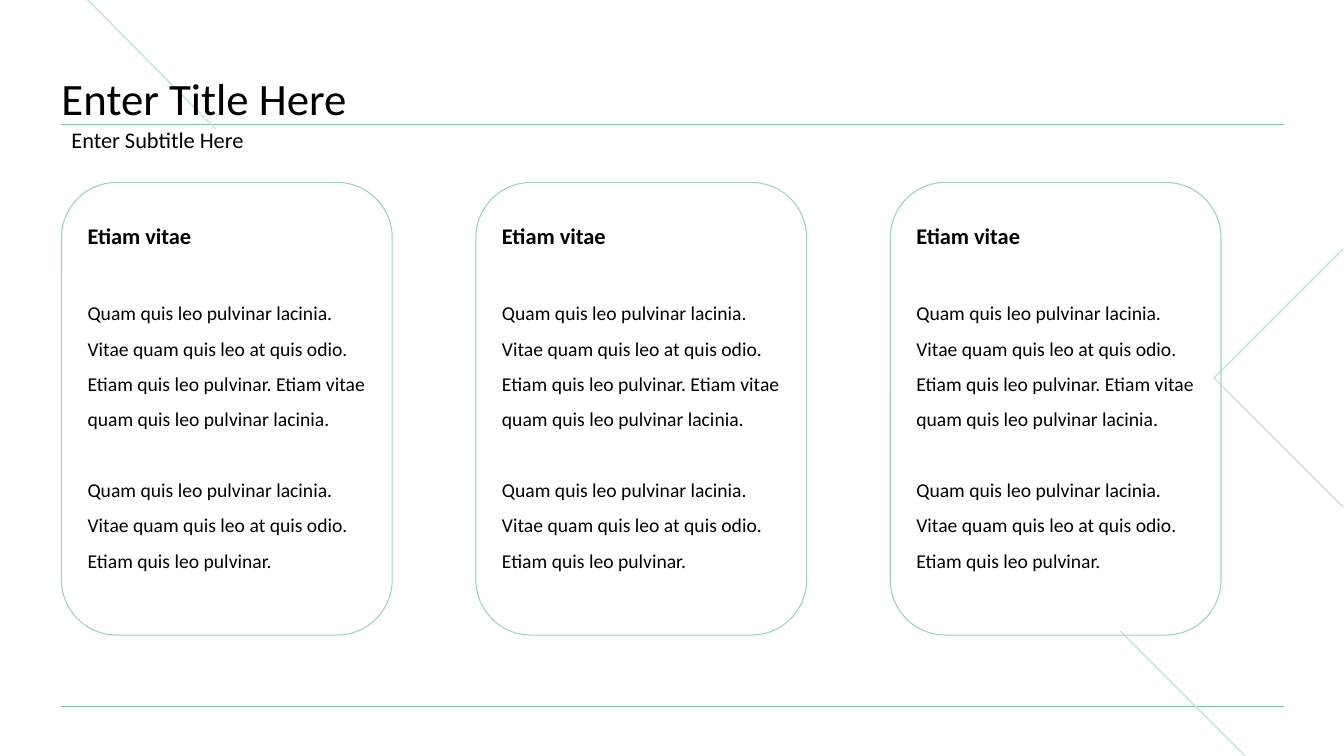
import pptx
import pptx.dml.color
import pptx.enum.shapes
import pptx.enum.text
import pptx.oxml.ns
import pptx.util
from lxml import etree

Inches = pptx.util.Inches
Pt = pptx.util.Pt
Anchor = pptx.enum.text.MSO_ANCHOR
Align = pptx.enum.text.PP_ALIGN

RULE, ACCENT, OUTLINE, INK = "80C7A7", "C6E6D7", "9AD3C2", "000000"
LEFT, WIDTH = 0.61, 12.12
RULE_HEIGHTS = (7.01, 1.23)
DIAGONALS = ((11.11, 6.26, 12.35, 7.5), (0.87, 0, 2.14, 1.28))
CHEVRON = ((13.32, 2.47), (12.04, 3.75), (13.32, 5.03))
CARD_COUNT, CARD_PITCH = 3, 4.11
CARD_TOP, CARD_WIDTH, CARD_HEIGHT = 1.81, 3.28, 4.49

HEADING = {"size": Pt(16), "bold": True}
BODY = {"size": Pt(14), "bold": False}
CARD_TEXT = (
    ("Etiam vitae", HEADING, 0),
    ("Quam quis leo pulvinar lacinia. Vitae quam quis leo at quis odio. "
     "Etiam quis leo pulvinar. Etiam vitae quam quis leo pulvinar lacinia.", BODY, 29),
    ("Quam quis leo pulvinar lacinia. Vitae quam quis leo at quis odio. "
     "Etiam quis leo pulvinar.", BODY, 25.5),
)


def colour(value):
    """Turn a hex string into a colour."""
    return pptx.dml.color.RGBColor.from_string(value)


def apply_format(target, values):
    """Set each attribute in a dict on the target."""
    for name, value in values.items():
        setattr(target, name, value)


def set_line(shape, value, weight):
    """Give a shape's line its colour and weight."""
    shape.line.color.rgb = colour(value)
    shape.line.width = Pt(weight)


def add_line(page, ends, value, weight):
    """Draw a straight line without a shadow."""
    line = page.shapes.add_connector(
        pptx.enum.shapes.MSO_CONNECTOR.STRAIGHT, *map(Inches, ends))
    set_line(line, value, weight)
    etree.SubElement(line._element.spPr, pptx.oxml.ns.qn("a:effectLst"))


def add_chevron(page):
    """Draw the open chevron at the right edge."""
    start, *corners = [tuple(map(Inches, point)) for point in CHEVRON]
    builder = page.shapes.build_freeform(*start)
    builder.add_line_segments(corners, close=False)
    chevron = builder.convert_to_shape()
    chevron.shadow.inherit = False
    chevron.fill.background()
    set_line(chevron, ACCENT, 1)


def write_para(para, text, font, layout):
    """Write one formatted paragraph."""
    apply_format(para, {"alignment": Align.LEFT, **layout})
    span = para.add_run()
    span.text = text
    apply_format(span.font, {"name": "Calibri", **font})
    span.font.color.rgb = colour(INK)


def add_label(page, top, height, text, size, frame):
    """Add a full-width line of text."""
    box = page.shapes.add_textbox(*map(Inches, (LEFT, top, WIDTH, height)))
    apply_format(box.text_frame, {"word_wrap": True, **frame})
    write_para(box.text_frame.paragraphs[0], text, {"size": Pt(size)}, {"line_spacing": 0.9})


def add_card(page, left):
    """Add a rounded card with a heading and two paragraphs."""
    card = page.shapes.add_shape(
        pptx.enum.shapes.MSO_SHAPE.ROUNDED_RECTANGLE,
        *map(Inches, (left, CARD_TOP, CARD_WIDTH, CARD_HEIGHT)))
    card.shadow.inherit = False
    card.fill.background()
    set_line(card, OUTLINE, 0.75)
    frame = card.text_frame
    margins = dict.fromkeys(
        ("margin_left", "margin_top", "margin_right", "margin_bottom"), Inches(0.1))
    apply_format(frame, {"word_wrap": True, "vertical_anchor": Anchor.TOP, **margins})
    for index, (text, font, gap) in enumerate(CARD_TEXT):
        para = frame.add_paragraph() if index else frame.paragraphs[0]
        layout = {"line_spacing": 1.5}
        if gap:
            layout["space_before"] = Pt(gap)
        write_para(para, text, font, layout)


def main():
    """Build the slide and save the deck."""
    deck = pptx.Presentation()
    apply_format(deck, {"slide_width": Inches(13.33), "slide_height": Inches(7.5)})
    page = deck.slides.add_slide(deck.slide_layouts[6])
    for height in RULE_HEIGHTS:
        add_line(page, (LEFT, height, LEFT + WIDTH, height), RULE, 0.5)
    for ends in DIAGONALS:
        add_line(page, ends, ACCENT, 1)
    add_chevron(page)
    add_label(page, 0.44, 0.8, "Enter Title Here", 32, {
        "vertical_anchor": Anchor.BOTTOM, "margin_left": 0, "margin_top": 0,
        "margin_right": 0, "margin_bottom": 0})
    add_label(page, 1.23, 0.34, "Enter Subtitle Here", 16, {
        "vertical_anchor": Anchor.MIDDLE,
        "auto_size": pptx.enum.text.MSO_AUTO_SIZE.SHAPE_TO_FIT_TEXT})
    for index in range(CARD_COUNT):
        add_card(page, LEFT + index * CARD_PITCH)
    deck.save("out.pptx")


if __name__ == "__main__":
    main()
